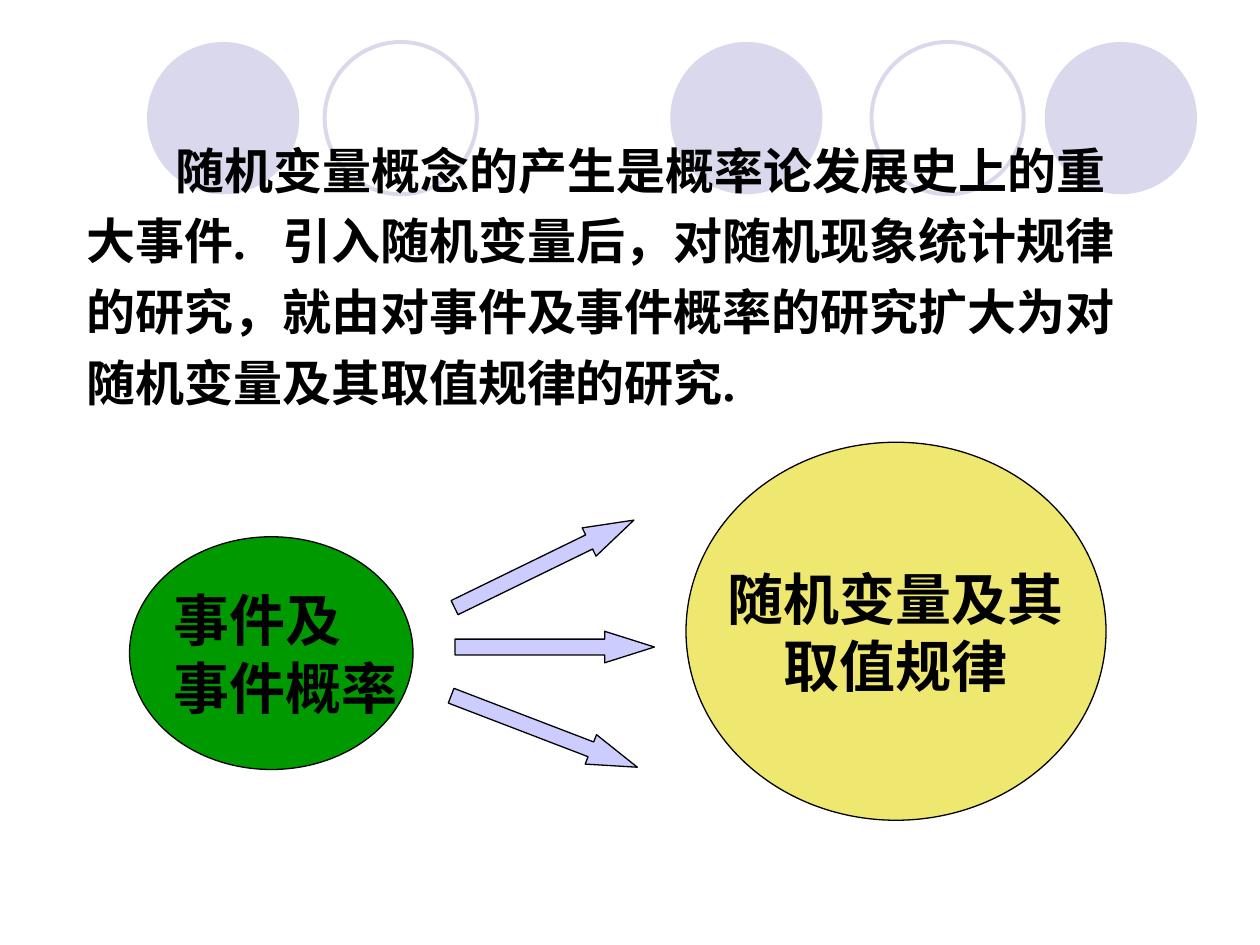
from pptx import Presentation
from pptx.dml.color import RGBColor
from pptx.enum.shapes import MSO_SHAPE
from pptx.enum.text import MSO_ANCHOR, PP_ALIGN
from pptx.util import Pt

FONT = "Times New Roman"
BLACK, LAVENDER, GREEN, YELLOW, LILAC = "000000", "D9D8EC", "009900", "EEE870", "CCCCFF"


def color(value):
    return RGBColor.from_string(value)


def add_figure(page, kind, box, fill=None, line=None, weight=0.75):
    figure = page.shapes.add_shape(kind, *map(Pt, box))
    figure.shadow.inherit = False
    if fill:
        figure.fill.solid()
        figure.fill.fore_color.rgb = color(fill)
    else:
        figure.fill.background()
    if line:
        figure.line.color.rgb = color(line)
        figure.line.width = Pt(weight)
    else:
        figure.line.fill.background()
    return figure


def add_span(para, text, size):
    span = para.add_run()
    span.text = text
    span.font.name = FONT
    span.font.size = Pt(size)
    span.font.bold = True
    span.font.color.rgb = color(BLACK)
    return span


def write_label(frame, lines, align):
    frame.word_wrap = False
    for index, text in enumerate(lines):
        para = frame.paragraphs[0] if index == 0 else frame.add_paragraph()
        para.alignment = align
        add_span(para, text, 32)


def add_circle_band(page, left, top, size):
    """Decorative row of filled and outlined circles."""
    for offset, filled in ((0, True), (101.5, False), (299, True), (414, False), (513, True)):
        box = (left + offset, top, size, size)
        if filled:
            add_figure(page, MSO_SHAPE.OVAL, box, fill=LAVENDER)
        else:
            add_figure(page, MSO_SHAPE.OVAL, box, line=LAVENDER, weight=2.25)


def add_statement(page, box):
    frame = page.shapes.add_textbox(*map(Pt, box)).text_frame
    frame.word_wrap = True
    para = frame.paragraphs[0]
    para.line_spacing = 1.2
    para._p.get_or_add_pPr().set("indent", str(Pt(51)))
    add_span(para, "随机变量概念的产生是概率论发展史上的重大事件.", 28)
    gap = add_span(para, " ", 28)
    gap.font._element.set("spc", "1400")  # widens the space between the sentences
    add_span(para, "引入随机变量后，对随机现象统计规律的研究，"
                   "就由对事件及事件概率的研究扩大为对随机变量及其取值规律的研究.", 28)


def add_event_circle(page, box):
    left, top, width, height = box
    add_figure(page, MSO_SHAPE.OVAL, box, GREEN, BLACK)
    label = page.shapes.add_textbox(Pt(left + 18), Pt(top + 24.5), Pt(142.5), Pt(84))
    write_label(label.text_frame, ("事件及", "事件概率"), PP_ALIGN.LEFT)


def add_arrow_fan(page, left, top):
    for across, down, angle in ((6, 47.5, 0), (0, 0, 334), (0, 95.75, 21)):
        box = (left + across, top + down, 114, 18)
        arrow = add_figure(page, MSO_SHAPE.RIGHT_ARROW, box, LILAC, BLACK)
        arrow.adjustments[1] = 1.58
        arrow.rotation = angle


def add_variable_circle(page, box):
    frame = add_figure(page, MSO_SHAPE.OVAL, box, YELLOW, BLACK).text_frame
    frame.vertical_anchor = MSO_ANCHOR.MIDDLE
    write_label(frame, ("随机变量及其", "取值规律"), PP_ALIGN.CENTER)


def main():
    deck = Presentation()
    deck.slide_width, deck.slide_height = Pt(720), Pt(540)
    page = deck.slides.add_slide(deck.slide_layouts[6])
    add_circle_band(page, 84, 24, 87)
    add_statement(page, (42.5, 70, 607, 168.5))
    add_event_circle(page, (74, 306.75, 162, 133))
    add_arrow_fan(page, 254, 313.25)
    add_variable_circle(page, (392, 252.75, 240, 216))
    deck.save("out.pptx")


if __name__ == "__main__":
    main()
